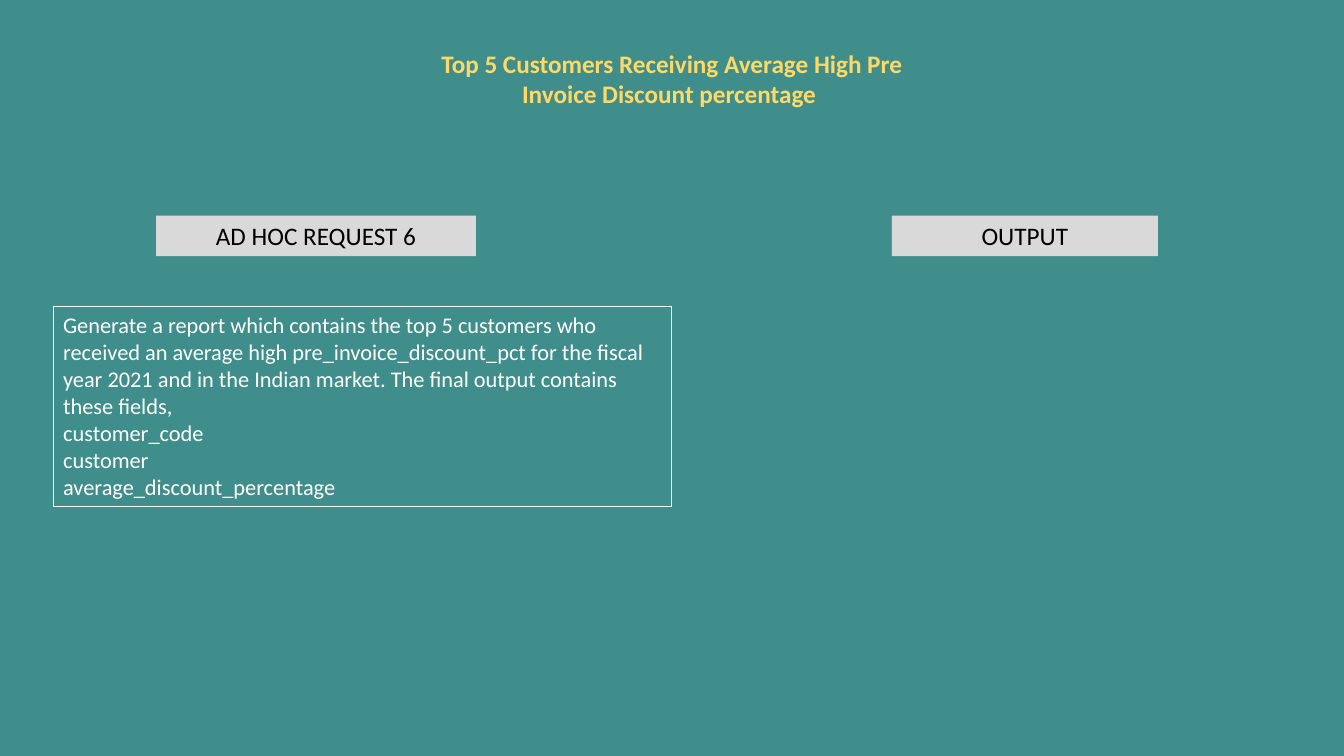
import pptx
import pptx.util
import pptx.dml.color
import pptx.enum.shapes
import pptx.enum.text

Pt = pptx.util.Pt
ALIGN = pptx.enum.text.PP_ALIGN


def colour(value):
    return pptx.dml.color.RGBColor.from_string(value)


class RequestPage:
    """Holds the style and the current slide, and adds its elements."""

    font_name = "Calibri"
    background = "408E8C"
    white = "FFFFFF"
    black = "000000"
    label_fill = "D9D9D9"
    title_colour = "FFD966"

    def __init__(self, deck):
        self.page = deck.slides.add_slide(deck.slide_layouts[5])
        fill = self.page.background.fill
        fill.solid()
        fill.fore_color.rgb = colour(self.background)

    def set_text(self, shape, lines, size, ink, align, bold=False):
        frame = shape.text_frame
        frame_format = {
            "word_wrap": True,
            "auto_size": pptx.enum.text.MSO_AUTO_SIZE.NONE,
            "vertical_anchor": pptx.enum.text.MSO_ANCHOR.TOP,
        }
        for name, value in frame_format.items():
            setattr(frame, name, value)
        font_format = {"name": self.font_name, "size": Pt(size), "bold": bold}
        for index, line in enumerate(lines):
            para = frame.add_paragraph() if index else frame.paragraphs[0]
            para.alignment = align
            span = para.add_run()
            span.text = line
            for name, value in font_format.items():
                setattr(span.font, name, value)
            span.font.color.rgb = colour(ink)

    def title(self, text, left, top, width, height):
        shape = self.page.shapes.title
        place = {"left": left, "top": top, "width": width, "height": height}
        for name, value in place.items():
            setattr(shape, name, Pt(value))
        self.set_text(shape, [text], 18, self.title_colour, ALIGN.CENTER, bold=True)

    def rectangle(self, left, top, width, height):
        shape = self.page.shapes.add_shape(
            pptx.enum.shapes.MSO_SHAPE.RECTANGLE,
            Pt(left), Pt(top), Pt(width), Pt(height))
        shape.shadow.inherit = False
        return shape

    def label(self, text, left, width):
        shape = self.rectangle(left, 154, width, 29)
        shape.fill.solid()
        shape.fill.fore_color.rgb = colour(self.label_fill)
        shape.line.fill.background()
        self.set_text(shape, [text], 18, self.black, ALIGN.CENTER)

    def outlined_box(self, lines, left, top, width, height):
        shape = self.rectangle(left, top, width, height)
        shape.fill.background()
        shape.line.color.rgb = colour(self.white)
        shape.line.width = Pt(0.75)
        self.set_text(shape, lines, 16, self.white, ALIGN.LEFT)


def main():
    deck = pptx.Presentation()
    deck.slide_width = Pt(960)
    deck.slide_height = Pt(540)
    request = RequestPage(deck)
    request.title(
        "Top 5 Customers Receiving Average High Pre Invoice Discount percentage ",
        294.5, 31, 371, 51)
    request.label("AD HOC REQUEST 6", 111.5, 228.5)
    request.label("OUTPUT", 637, 190)
    request.outlined_box([
        "Generate a report which contains the top 5 customers who received an "
        "average high pre_invoice_discount_pct for the fiscal year 2021 and in "
        "the Indian market. The final output contains these fields,",
        "customer_code",
        "customer",
        "average_discount_percentage",
    ], 38, 219, 441.5, 143)
    deck.save("out.pptx")


if __name__ == "__main__":
    main()
